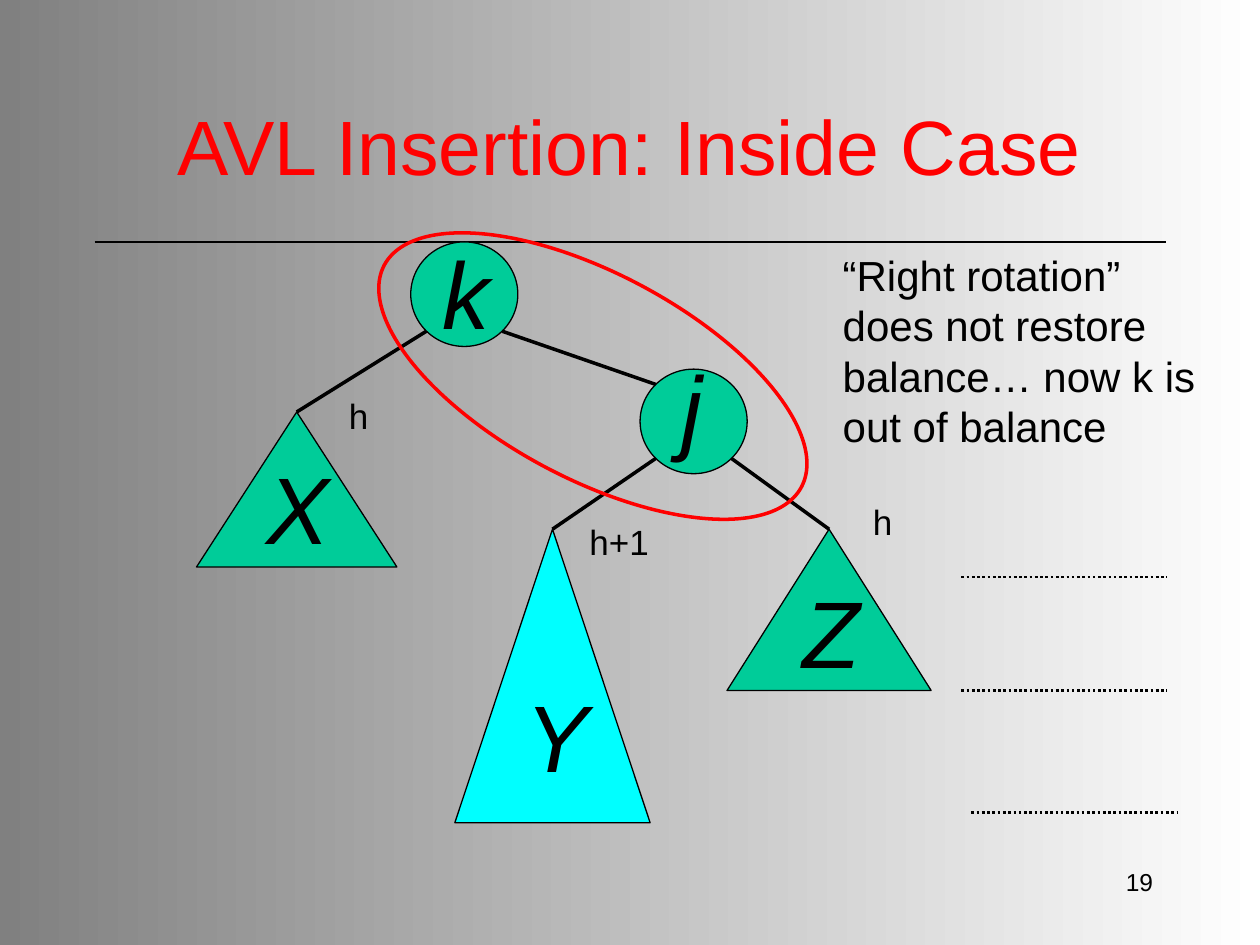
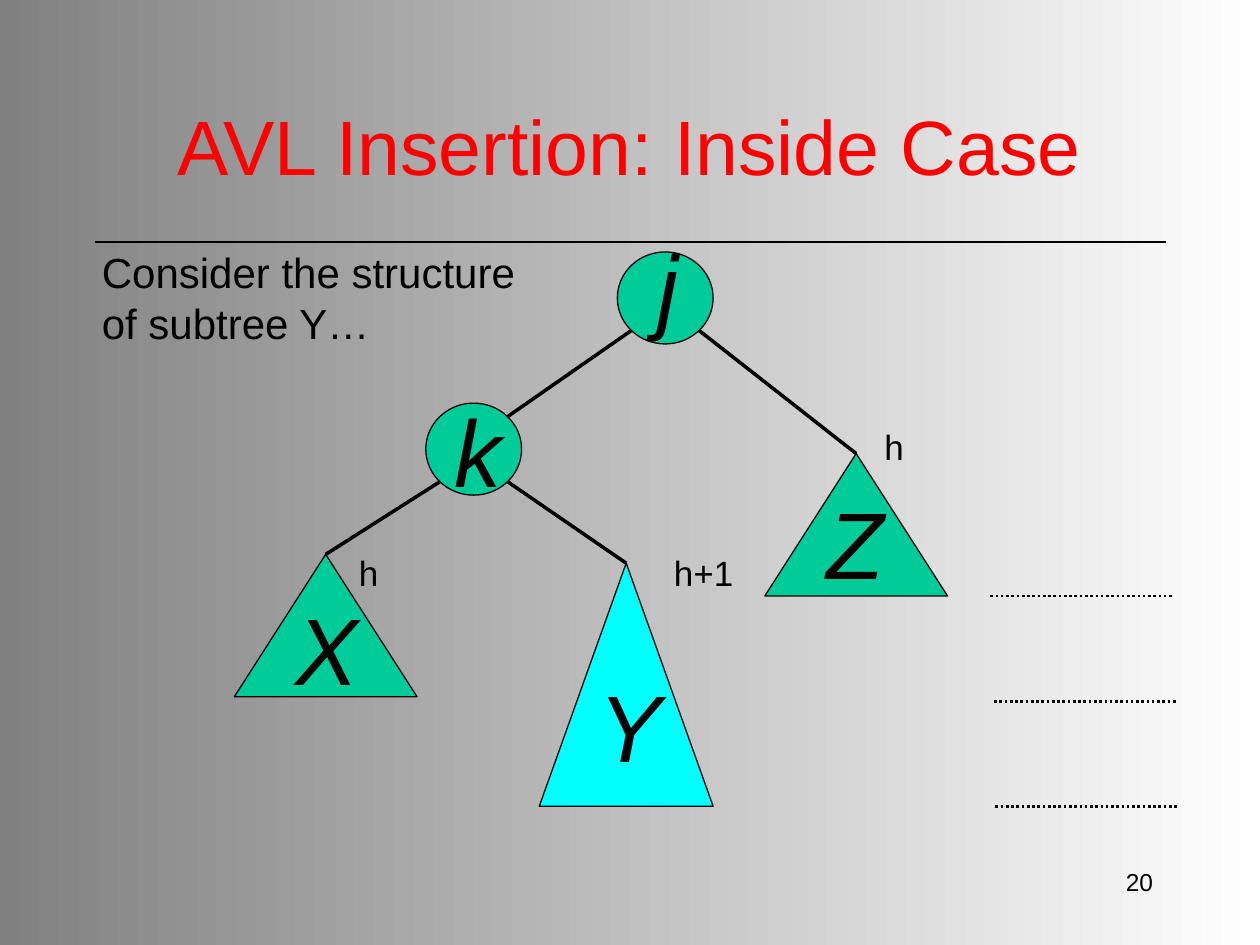
from pptx import Presentation
from pptx.dml.color import RGBColor
from pptx.enum.dml import MSO_LINE_DASH_STYLE as DASH
from pptx.enum.shapes import MSO_CONNECTOR, MSO_SHAPE as SHAPE
from pptx.enum.text import MSO_ANCHOR as ANCHOR, PP_ALIGN as ALIGN
from pptx.oxml.ns import qn
from pptx.util import Inches, Pt
from lxml import etree

COLORS = {
    "ink": "000000", "accent": "FF0000", "balanced": "00CC99", "deep": "00FFFF",
    "bg_light": "FFFFFF", "bg_dark": "808080",
}
FONT = "Arial"
DIAGONAL = 0.354  # share of an ellipse's size from its centre to a 45° point


def color(name):
    return RGBColor.from_string(COLORS[name])


def add_text(slide, text, box, size, ink="ink", italic=False, align=ALIGN.LEFT,
             anchor=ANCHOR.TOP, wrap=True):
    frame = slide.shapes.add_textbox(*map(Inches, box)).text_frame
    frame.word_wrap = wrap
    frame.vertical_anchor = anchor
    frame.text = text
    for paragraph in frame.paragraphs:
        paragraph.alignment = align
        font = paragraph.font
        font.name, font.size, font.italic = FONT, Pt(size), italic
        font.color.rgb = color(ink)


def add_line(slide, start, end, width, dash=None):
    line = slide.shapes.add_connector(
        MSO_CONNECTOR.STRAIGHT, *map(Inches, (*start, *end)))
    line.line.color.rgb = color("ink")
    line.line.width = Pt(width)
    if dash:
        line.line.dash_style = dash
    etree.SubElement(line._element.spPr, qn("a:effectLst"))
    return line


def add_outlined(slide, kind, box, fill=None, ink="ink", width=0.75):
    shape = slide.shapes.add_shape(kind, *map(Inches, box))
    shape.shadow.inherit = False
    if fill:
        shape.fill.solid()
        shape.fill.fore_color.rgb = color(fill)
    else:
        shape.fill.background()
    shape.line.color.rgb = color(ink)
    shape.line.width = Pt(width)
    return shape


def add_letter(slide, letter, box, offset):
    add_text(slide, letter, (box[0] + offset[0], box[1] + offset[1], 0.52, 1),
             54, italic=True)


def add_node(slide, letter, box, offset):
    add_outlined(slide, SHAPE.OVAL, box, "balanced")
    add_letter(slide, letter, box, offset)


def rim(box, side, level):
    """Point at 45° on a node's rim: side -1 left, 1 right; level -1 up, 1 down."""
    left, top, width, height = box
    return (left + width * (0.5 + side * DIAGONAL),
            top + height * (0.5 + level * DIAGONAL))


def add_subtree(slide, letter, box, offset, parent, side, fill="balanced"):
    """Draw a triangle and the edge from its parent node to its apex."""
    triangle = add_outlined(slide, SHAPE.ISOSCELES_TRIANGLE, box, fill)
    add_letter(slide, letter, box, offset)
    apex = (box[0] + box[2] / 2, box[1])
    edge = add_line(slide, rim(parent, side, 1), apex, 2)
    edge.end_connect(triangle, 0)


def add_child_edge(slide, parent, child, side):
    add_line(slide, rim(parent, side, 1), rim(child, -side, -1), 2)


def add_levels(slide, starts, length):
    for left, top in starts:
        add_line(slide, (left, top), (left + length, top), 1.5, DASH.ROUND_DOT)


def add_heights(slide, labels):
    for text, left, top in labels:
        width = 0.67 if text == "h+1" else 0.35
        add_text(slide, text, (left, top, width, 0.44), 20, wrap=False)


def add_base(prs, number):
    """Add a slide with the shared background, title, rule and number."""
    slide = prs.slides.add_slide(prs.slide_layouts[6])
    fill = slide.background.fill
    fill.gradient()
    fill.gradient_angle = 180
    for stop, name in zip(fill.gradient_stops, ("bg_light", "bg_dark")):
        stop.color.rgb = color(name)
    add_line(slide, (0.75, 1.92), (9.25, 1.92), 0.75)
    add_text(slide, str(number), (7.17, 6.83, 2.08, 0.5), 14, align=ALIGN.RIGHT)
    add_text(slide, "AVL Insertion: Inside Case", (0.73, 0.71, 8.54, 0.88), 44,
             ink="accent", align=ALIGN.CENTER, anchor=ANCHOR.MIDDLE)
    return slide


def build_rotated(prs):
    slide = add_base(prs, 19)
    k = (3.26, 1.92, 0.85, 0.83)
    j = (5.08, 2.93, 0.85, 0.83)
    add_node(slide, "j", j, (0.23, -0.21))
    add_node(slide, "k", k, (0.15, -0.1))
    add_subtree(slide, "X", (1.56, 3.27, 1.59, 1.23), (0.46, 0.25), k, -1)
    add_subtree(slide, "Y", (3.61, 4.2, 1.55, 2.33), (0.46, 1.13), j, -1, "deep")
    add_subtree(slide, "Z", (5.77, 4.2, 1.62, 1.28), (0.5, 0.31), j, 1)
    add_child_edge(slide, k, j, 1)
    add_levels(slide, [(7.63, 4.58), (7.63, 5.48), (7.71, 6.45)], 1.63)
    add_text(slide, "“Right rotation”\ndoes not restore\nbalance… now k is\n"
             "out of balance", (6.59, 1.93, 3, 1.7), 24, wrap=False)
    rotated_pair = add_outlined(slide, SHAPE.OVAL, (2.83, 2.17, 3.75, 1.63),
                                ink="accent", width=2)
    rotated_pair.rotation = 28
    add_heights(slide, [("h", 6.83, 3.92), ("h+1", 4.58, 4.08), ("h", 2.67, 3.08)])


def build_structure(prs):
    slide = add_base(prs, 20)
    add_text(slide, "Consider the structure\nof subtree Y…",
             (0.71, 1.91, 3.48, 0.9), 24, wrap=False)
    j = (4.9, 2, 0.76, 0.73)
    k = (3.38, 3.2, 0.76, 0.73)
    add_node(slide, "j", j, (0.22, -0.24))
    add_node(slide, "k", k, (0.13, -0.13))
    add_child_edge(slide, j, k, -1)
    add_subtree(slide, "X", (1.86, 4.4, 1.45, 1.13), (0.39, 0.24), k, -1)
    add_subtree(slide, "Y", (4.28, 4.47, 1.38, 1.93), (0.37, 0.78), k, 1, "deep")
    add_subtree(slide, "Z", (6.07, 3.6, 1.45, 1.13), (0.39, 0.2), j, 1)
    add_levels(slide, [(7.86, 4.73), (7.89, 5.57), (7.9, 6.4)], 1.45)
    add_heights(slide, [("h", 6.92, 3.33), ("h+1", 5.25, 4.33), ("h", 2.75, 4.33)])


def main():
    prs = Presentation()
    prs.slide_width, prs.slide_height = Inches(10), Inches(7.5)
    build_rotated(prs)
    build_structure(prs)
    prs.save("out.pptx")


if __name__ == "__main__":
    main()
